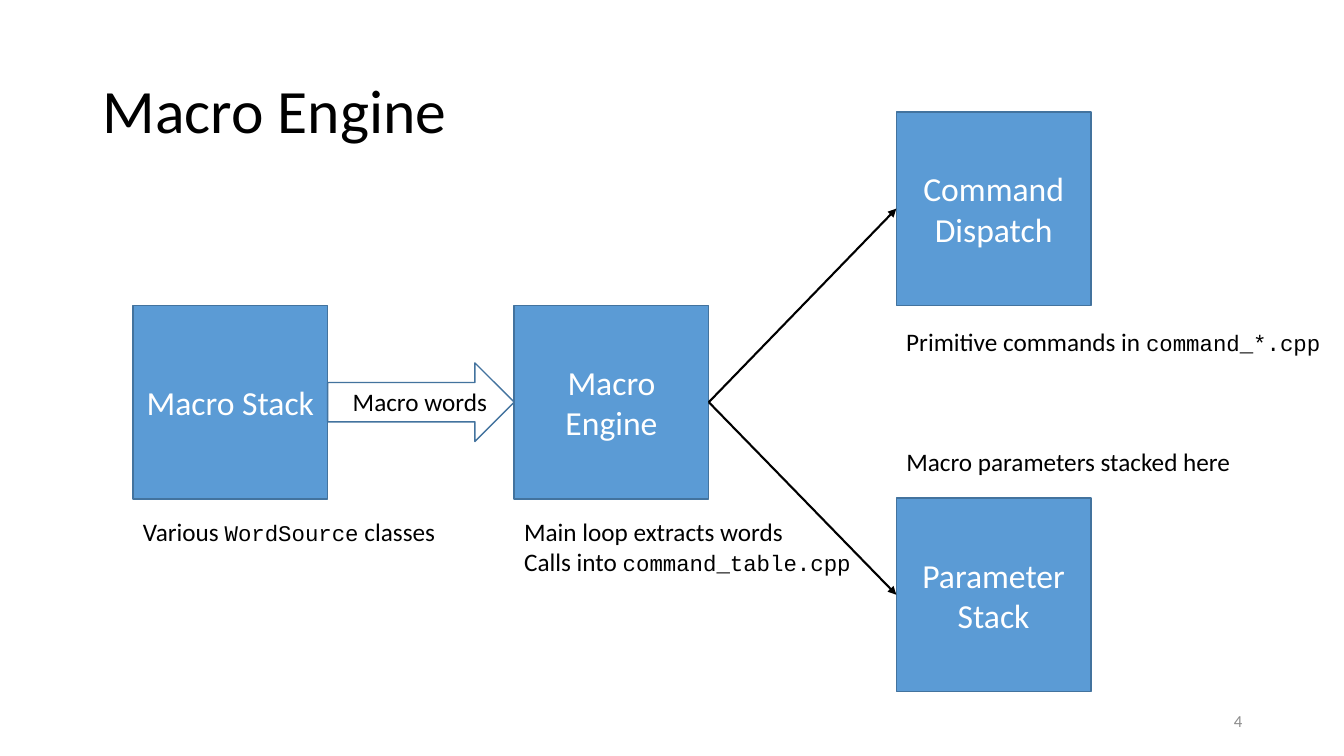
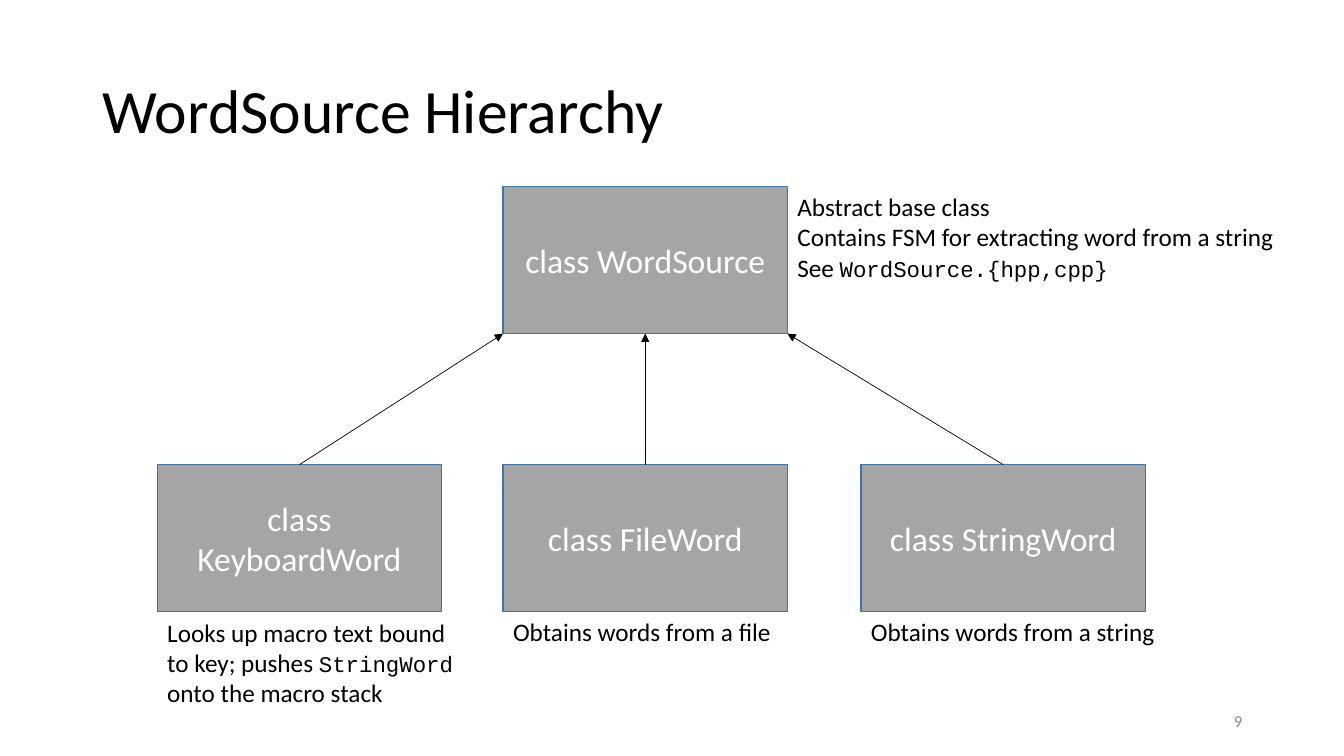
from dataclasses import dataclass

from lxml import etree
from pptx import Presentation
from pptx.dml.color import RGBColor
from pptx.enum import shapes, text
from pptx.oxml import ns
from pptx.util import Inches, Pt


@dataclass(frozen=True)
class Theme:
    body_font: str = "Calibri"
    code_font: str = "Courier New"
    ink: str = "000000"
    on_box: str = "FFFFFF"
    page_number: str = "8C8C8C"
    outline: str = "43739E"
    module: str = "5B9BD5"
    class_box: str = "A5A5A5"
    title_pt: int = 44
    box_pt: int = 24
    note_pt: int = 18
    code_pt: int = 16
    number_pt: int = 12


theme = Theme()
LEFT, CENTER, RIGHT = text.PP_ALIGN.LEFT, text.PP_ALIGN.CENTER, text.PP_ALIGN.RIGHT


def write(shape, lines, size, color, align=LEFT, anchor=text.MSO_ANCHOR.MIDDLE, wrap=True):
    """Fill a shape with one paragraph per line; `backticks` mark code."""
    frame = shape.text_frame
    frame.word_wrap = wrap
    frame.vertical_anchor = anchor
    for index, line in enumerate(lines):
        paragraph = frame.add_paragraph() if index else frame.paragraphs[0]
        paragraph.alignment = align
        paragraph.font.name = theme.body_font
        paragraph.font.size = Pt(size)
        paragraph.font.color.rgb = RGBColor.from_string(color)
        for position, part in enumerate(line.split("`")):
            if not part:
                continue
            run = paragraph.add_run()
            run.text = part
            if position % 2:
                run.font.name = theme.code_font
                run.font.size = Pt(theme.code_pt)
    return frame


def outline_shape(slide, preset, area, fill=None):
    shape = slide.shapes.add_shape(preset, *map(Inches, area))
    shape.shadow.inherit = False
    if fill:
        shape.fill.solid()
        shape.fill.fore_color.rgb = RGBColor.from_string(fill)
    else:
        shape.fill.background()
    shape.line.color.rgb = RGBColor.from_string(theme.outline)
    shape.line.width = Pt(1)
    return shape


# Macro engine: three columns, the last one split above and below the middle row
module_w, module_h = 1.93, 1.92
stack_x, engine_x, target_x = 1.32, 5.1, 8.89
dispatch_y, middle_y, parameter_y = 1.11, 3.03, 4.94
engine_exit = (engine_x + module_w, middle_y + module_h / 2)

# Class hierarchy: base class over the middle one of three subclasses
class_w, class_h = 2.82, 1.46
keyboard_x, file_x, string_x = 1.56, 4.99, 8.54
base_y, subclass_y = 1.85, 4.61
base_bottom, note_y = base_y + class_h, subclass_y + class_h

diagrams = [
    {
        "title": "Macro Engine", "number": "4",
        "fill": theme.module, "box_size": (module_w, module_h), "link_pt": 1.5,
        "boxes": [
            ("Macro Stack", stack_x, middle_y),
            ("Macro Engine", engine_x, middle_y),
            ("Command Dispatch", target_x, dispatch_y),
            ("Parameter Stack", target_x, parameter_y),
        ],
        "block_arrows": [(stack_x + module_w, 3.6, engine_x - stack_x - module_w, 0.78)],
        "links": [(engine_exit, (target_x, y + module_h / 2))
                  for y in (dispatch_y, parameter_y)],
        "notes": [
            ((engine_x, 5.07, 3.49, 0.71),
             ["Main loop extracts words", "Calls into `command_table.cpp`"]),
            ((target_x, 3.19, 4.36, 0.4), ["Primitive commands in `command_*.cpp`"]),
            ((stack_x, 5.07, 3.13, 0.4), ["Various `WordSource` classes"]),
            ((target_x, 4.38, 3.45, 0.4), ["Macro parameters stacked here"]),
            ((3.4, 3.78, 1.55, 0.4), ["Macro words"]),
        ],
    },
    {
        "title": "WordSource Hierarchy", "number": "9",
        "fill": theme.class_box, "box_size": (class_w, class_h), "link_pt": 0.5,
        "boxes": [
            ("class WordSource", file_x, base_y),
            ("class StringWord", string_x, subclass_y),
            ("class FileWord", file_x, subclass_y),
            ("class KeyboardWord", keyboard_x, subclass_y),
        ],
        "block_arrows": [],
        "links": [((x + class_w / 2, subclass_y), (file_x + share * class_w, base_bottom))
                  for x, share in ((keyboard_x, 0), (file_x, 0.5), (string_x, 1))],
        "notes": [
            ((file_x + class_w, base_y, 4.98, 1.01),
             ["Abstract base class", "Contains FSM for extracting word from a string",
              "See `WordSource.{hpp,cpp}`"]),
            ((file_x, note_y, 2.79, 0.4), ["Obtains words from a file"]),
            ((string_x, note_y, 3.04, 0.4), ["Obtains words from a string"]),
            ((keyboard_x, note_y, 3.08, 1.01),
             ["Looks up macro text bound", "to key; pushes `StringWord`",
              "onto the macro stack"]),
        ],
    },
]

deck = Presentation()
deck.slide_width, deck.slide_height = Inches(13.33), Inches(7.5)

for diagram in diagrams:
    slide = deck.slides.add_slide(deck.slide_layouts[6])

    title = slide.shapes.add_textbox(*map(Inches, (0.92, 0.4, 11.5, 1.45)))
    heading = write(title, [diagram["title"]], theme.title_pt, theme.ink)
    heading.paragraphs[0].line_spacing = 0.9
    number = slide.shapes.add_textbox(*map(Inches, (9.42, 6.95, 3, 0.4)))
    write(number, [diagram["number"]], theme.number_pt, theme.page_number, RIGHT)

    for label, x, y in diagram["boxes"]:
        box = outline_shape(slide, shapes.MSO_SHAPE.RECTANGLE,
                            (x, y, *diagram["box_size"]), diagram["fill"])
        write(box, [label], theme.box_pt, theme.on_box, CENTER)

    for area in diagram["block_arrows"]:
        outline_shape(slide, shapes.MSO_SHAPE.RIGHT_ARROW, area)

    for start, end in diagram["links"]:
        link = slide.shapes.add_connector(shapes.MSO_CONNECTOR.STRAIGHT,
                                          *map(Inches, (*start, *end)))
        link.line.color.rgb = RGBColor.from_string(theme.ink)
        link.line.width = Pt(diagram["link_pt"])
        etree.SubElement(link.line._get_or_add_ln(), ns.qn("a:tailEnd"), type="triangle")
        etree.SubElement(link._element.spPr, ns.qn("a:effectLst"))

    for area, lines in diagram["notes"]:
        note = slide.shapes.add_textbox(*map(Inches, area))
        body = write(note, lines, theme.note_pt, theme.ink,
                     anchor=text.MSO_ANCHOR.TOP, wrap=False)
        body.auto_size = text.MSO_AUTO_SIZE.SHAPE_TO_FIT_TEXT

deck.save("out.pptx")
